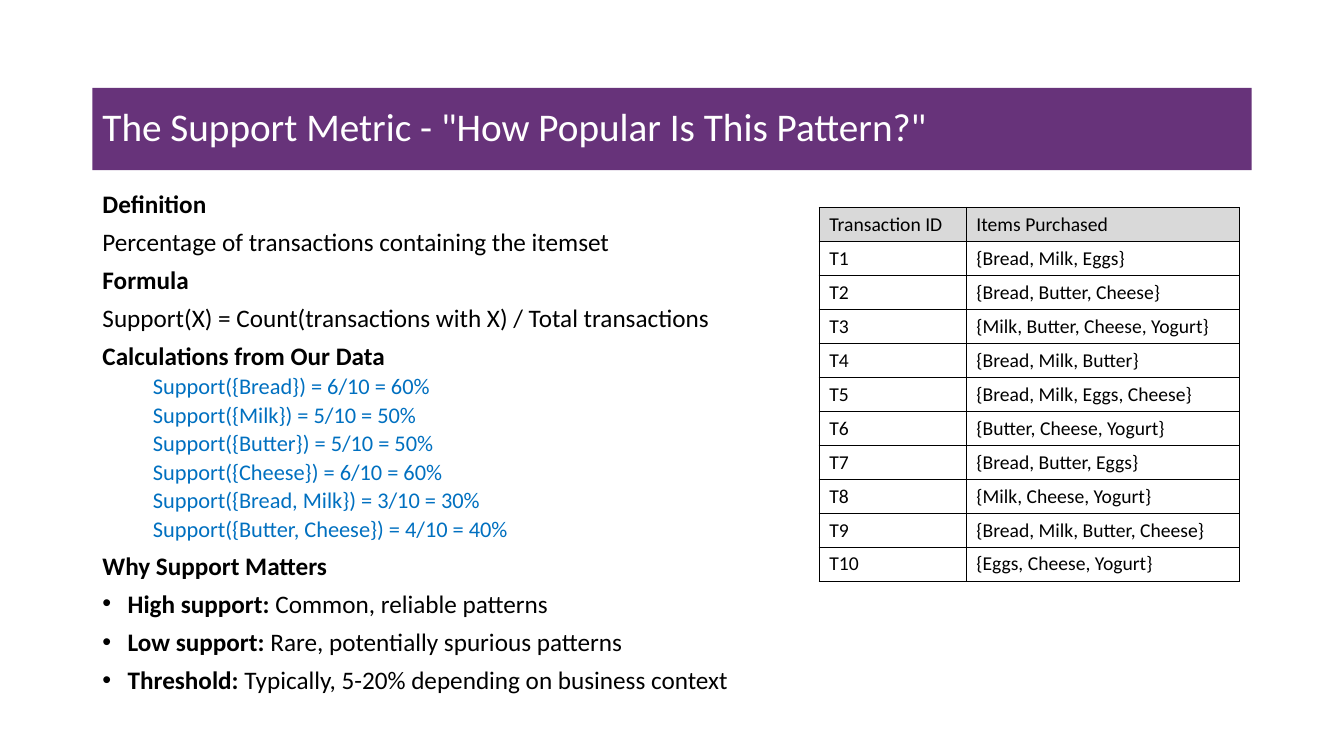
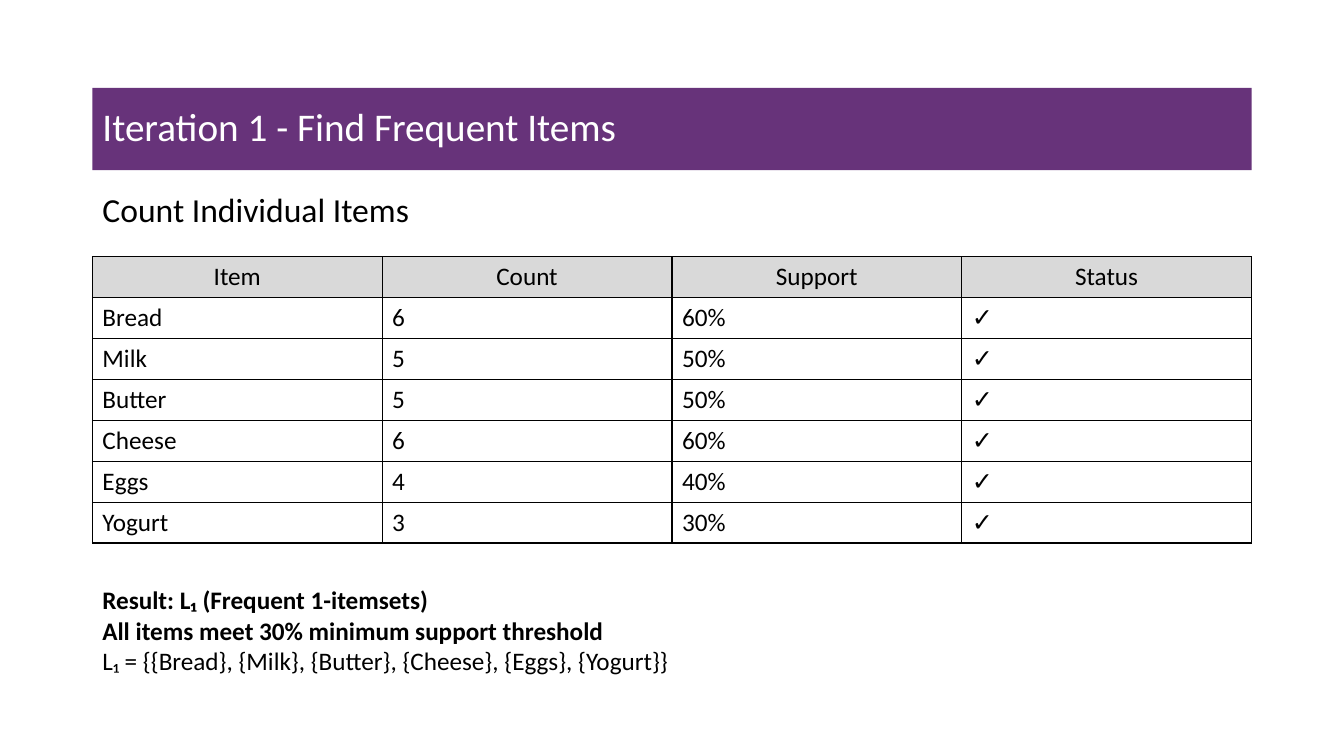
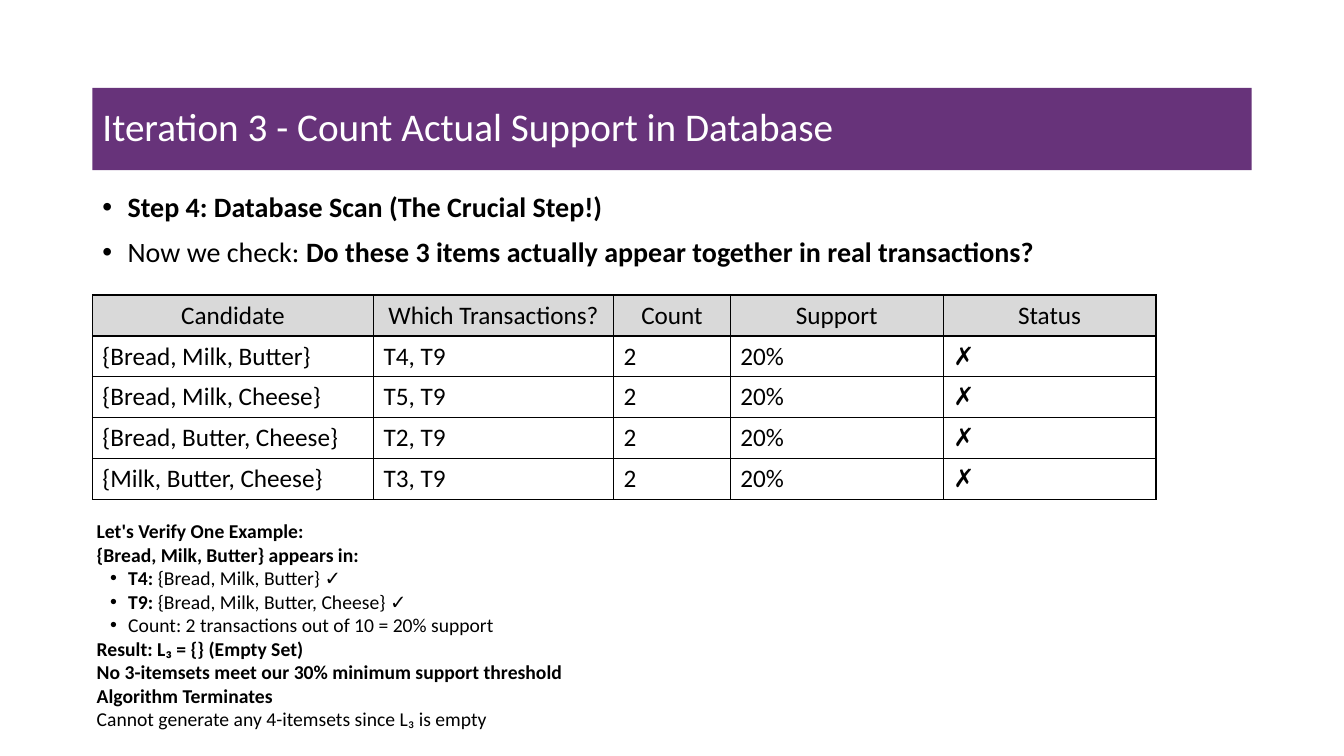
from dataclasses import dataclass

from lxml import etree
from pptx import Presentation
from pptx.dml.color import RGBColor
from pptx.enum.text import MSO_ANCHOR, MSO_AUTO_SIZE, PP_ALIGN
from pptx.oxml.ns import qn
from pptx.util import Pt

LEFT, CENTER = PP_ALIGN.LEFT, PP_ALIGN.CENTER
TOP, MIDDLE = MSO_ANCHOR.TOP, MSO_ANCHOR.MIDDLE
NO_FIT, GROW = MSO_AUTO_SIZE.NONE, MSO_AUTO_SIZE.SHAPE_TO_FIT_TEXT
TITLE_AND_CONTENT = 1


@dataclass(frozen=True)
class Theme:
    font: str = "Calibri"
    band: str = "67337A"
    header: str = "D9D9D9"
    paper: str = "FFFFFF"
    ink: str = "000000"
    accent: str = "0070C0"
    title: float = 28
    lead: float = 24
    large: float = 20
    normal: float = 18
    detail: float = 16
    small: float = 14
    margin: float = 66
    width: float = 828


THEME = Theme()
BULLET = dict(bullet="•", indent=18, hang=18)
NOTE_BULLET = dict(bullet="•", indent=22.5, hang=13)
CALCULATION = dict(level=1, indent=36, before=5, size=THEME.detail, color=THEME.accent)


def rgb(value):
    return RGBColor.from_string(value)


def write(frame, text, *, size=THEME.normal, color=THEME.ink, align=LEFT, spacing=1.0,
          before=0, level=0, indent=0, hang=0, bullet=None):
    """Add one paragraph to the frame; parts between ** marks are bold."""
    first = not frame.paragraphs[0].runs
    paragraph = frame.paragraphs[0] if first else frame.add_paragraph()
    properties = paragraph._p.get_or_add_pPr()
    properties.set("marL", str(Pt(indent)))
    properties.set("indent", str(-Pt(hang)))
    if bullet:
        etree.SubElement(properties, qn("a:buFont"), typeface="Arial")
        etree.SubElement(properties, qn("a:buChar"), char=bullet)
    else:
        etree.SubElement(properties, qn("a:buNone"))
    paragraph.level = level
    paragraph.alignment = align
    paragraph.line_spacing = spacing
    paragraph.space_before = Pt(0 if first else before)
    for position, part in enumerate(text.split("**")):
        if part:
            run = paragraph.add_run()
            run.text = part
            run.font.name = THEME.font
            run.font.size = Pt(size)
            run.font.bold = position % 2 == 1
            run.font.color.rgb = rgb(color)


def write_all(frame, lines, **shared):
    """Write lines that are plain text or (text, own format) pairs."""
    for line in lines:
        text, own = (line, {}) if isinstance(line, str) else line
        write(frame, text, **{**shared, **own})


def draw_borders(cell):
    properties = cell._tc.get_or_add_tcPr()
    for position, side in enumerate(("lnL", "lnR", "lnT", "lnB")):
        line = etree.Element(qn(f"a:{side}"), w=str(Pt(1)))
        fill = etree.SubElement(line, qn("a:solidFill"))
        etree.SubElement(fill, qn("a:srgbClr"), val=THEME.ink)
        properties.insert(position, line)


class Deck:
    def __init__(self):
        self.presentation = Presentation()
        self.presentation.slide_width = Pt(960)
        self.presentation.slide_height = Pt(540)
        self.slide = None

    def add_slide(self, title):
        layout = self.presentation.slide_layouts[TITLE_AND_CONTENT]
        self.slide = self.presentation.slides.add_slide(layout)
        band = self.slide.shapes.title
        band.fill.solid()
        band.fill.fore_color.rgb = rgb(THEME.band)
        frame = self.place(band, 62.75, THEME.width, 58.75, MIDDLE)
        write(frame, title, size=THEME.title, color=THEME.paper, spacing=0.9)

    def place(self, holder, top, width, height, anchor):
        holder.left, holder.top = Pt(THEME.margin), Pt(top)
        holder.width, holder.height = Pt(width), Pt(height)
        frame = holder.text_frame
        frame.word_wrap = True
        frame.auto_size = NO_FIT
        frame.vertical_anchor = anchor
        return frame

    def body(self, lines, height, width=THEME.width, spacing=0.9, **shared):
        frame = self.place(self.slide.placeholders[1], 134.75, width, height, TOP)
        write_all(frame, lines, spacing=spacing, before=10, **shared)

    def note(self, lines, left, top, height, size):
        box = self.slide.shapes.add_textbox(Pt(left), Pt(top), Pt(480), Pt(height))
        box.text_frame.word_wrap = True
        box.text_frame.auto_size = GROW
        write_all(box.text_frame, lines, size=size)

    def table(self, rows, columns, top, left=THEME.margin, size=THEME.normal,
              header_align=CENTER):
        row_height = Pt(1.22 * size + 7.2)
        grid = self.slide.shapes.add_table(
            len(rows), len(columns), Pt(left), Pt(top),
            Pt(sum(columns)), row_height * len(rows)).table
        grid.first_row = grid.horz_banding = False
        for column, width in zip(grid.columns, columns):
            column.width = Pt(width)
        for index, values in enumerate(rows):
            grid.rows[index].height = row_height
            for cell, value in zip(grid.rows[index].cells, values):
                cell.fill.solid()
                cell.fill.fore_color.rgb = rgb(THEME.paper if index else THEME.header)
                cell.vertical_anchor = MIDDLE
                draw_borders(cell)
                write(cell.text_frame, value, size=size,
                      align=LEFT if index else header_align)


def support_metric(deck):
    deck.add_slide('The Support Metric - "How Popular Is This Pattern?"')
    calculations = [
        "{Bread}) = 6/10 = 60%",
        "{Milk}) = 5/10 = 50%",
        "{Butter}) = 5/10 = 50%",
        "{Cheese}) = 6/10 = 60%",
        "{Bread, Milk}) = 3/10 = 30%",
        "{Butter, Cheese}) = 4/10 = 40%",
    ]
    deck.body([
        "**Definition**",
        "Percentage of transactions containing the itemset",
        "**Formula**",
        "Support(X) = Count(transactions with X) / Total transactions",
        "**Calculations from Our Data**",
        *((f"Support({calculation}", CALCULATION) for calculation in calculations),
        "**Why Support Matters**",
        ("**High support:** Common, reliable patterns", BULLET),
        ("**Low support:** Rare, potentially spurious patterns", BULLET),
        ("**Threshold:** Typically, 5-20% depending on business context", BULLET),
    ], height=393, width=492, spacing=0.8)
    baskets = [
        "Bread, Milk, Eggs",
        "Bread, Butter, Cheese",
        "Milk, Butter, Cheese, Yogurt",
        "Bread, Milk, Butter",
        "Bread, Milk, Eggs, Cheese",
        "Butter, Cheese, Yogurt",
        "Bread, Butter, Eggs",
        "Milk, Cheese, Yogurt",
        "Bread, Milk, Butter, Cheese",
        "Eggs, Cheese, Yogurt",
    ]
    rows = [(f"T{number}", f"{{{basket}}}") for number, basket in enumerate(baskets, 1)]
    deck.table([("Transaction ID", "Items Purchased"), *rows], [105, 195],
               top=148.25, left=585.25, size=THEME.small, header_align=LEFT)


def frequent_items(deck):
    deck.add_slide("Iteration 1 - Find Frequent Items")
    deck.body(["Count Individual Items"], height=42, size=THEME.lead)
    counts = {"Bread": 6, "Milk": 5, "Butter": 5, "Cheese": 6, "Eggs": 4, "Yogurt": 3}
    rows = [(item, str(count), f"{count * 10}%", "✓") for item, count in counts.items()]
    deck.table([("Item", "Count", "Support", "Status"), *rows],
               [THEME.width / 4] * 4, top=183.5)
    deck.note([
        "**Result: L₁ (Frequent 1-itemsets)**",
        "**All items meet 30% minimum support threshold**",
        "L₁ = {{Bread}, {Milk}, {Butter}, {Cheese}, {Eggs}, {Yogurt}}",
    ], left=THEME.margin, top=414, height=73, size=THEME.normal)


def actual_support(deck):
    deck.add_slide("Iteration 3 - Count Actual Support in Database")
    deck.body([
        "**Step 4: Database Scan (The Crucial Step!)**",
        "Now we check: **Do these 3 items actually appear together in real transactions?**",
    ], height=77, size=THEME.large, **BULLET)
    candidates = {
        "{Bread, Milk, Butter}": "T4, T9",
        "{Bread, Milk, Cheese}": "T5, T9",
        "{Bread, Butter, Cheese}": "T2, T9",
        "{Milk, Butter, Cheese}": "T3, T9",
    }
    rows = [(candidate, found, "2", "20%", "✗") for candidate, found in candidates.items()]
    deck.table([("Candidate", "Which Transactions?", "Count", "Support", "Status"), *rows],
               [200.75, 171.5, 83.5, 152, 152], top=210.75)
    deck.note([
        "**Let's Verify One Example:**",
        "**{Bread, Milk, Butter} appears in:**",
        ("**T4:** {Bread, Milk, Butter} ✓", NOTE_BULLET),
        ("**T9:** {Bread, Milk, Butter, Cheese} ✓", NOTE_BULLET),
        ("Count: 2 transactions out of 10 = 20% support", NOTE_BULLET),
        "**Result: L₃ = {} (Empty Set)**",
        "**No 3-itemsets meet our 30% minimum support threshold**",
        "**Algorithm Terminates**",
        "Cannot generate any 4-itemsets since L₃ is empty",
    ], left=62, top=367.25, height=160, size=THEME.small)


def main():
    deck = Deck()
    support_metric(deck)
    frequent_items(deck)
    actual_support(deck)
    deck.presentation.save("out.pptx")


if __name__ == "__main__":
    main()
